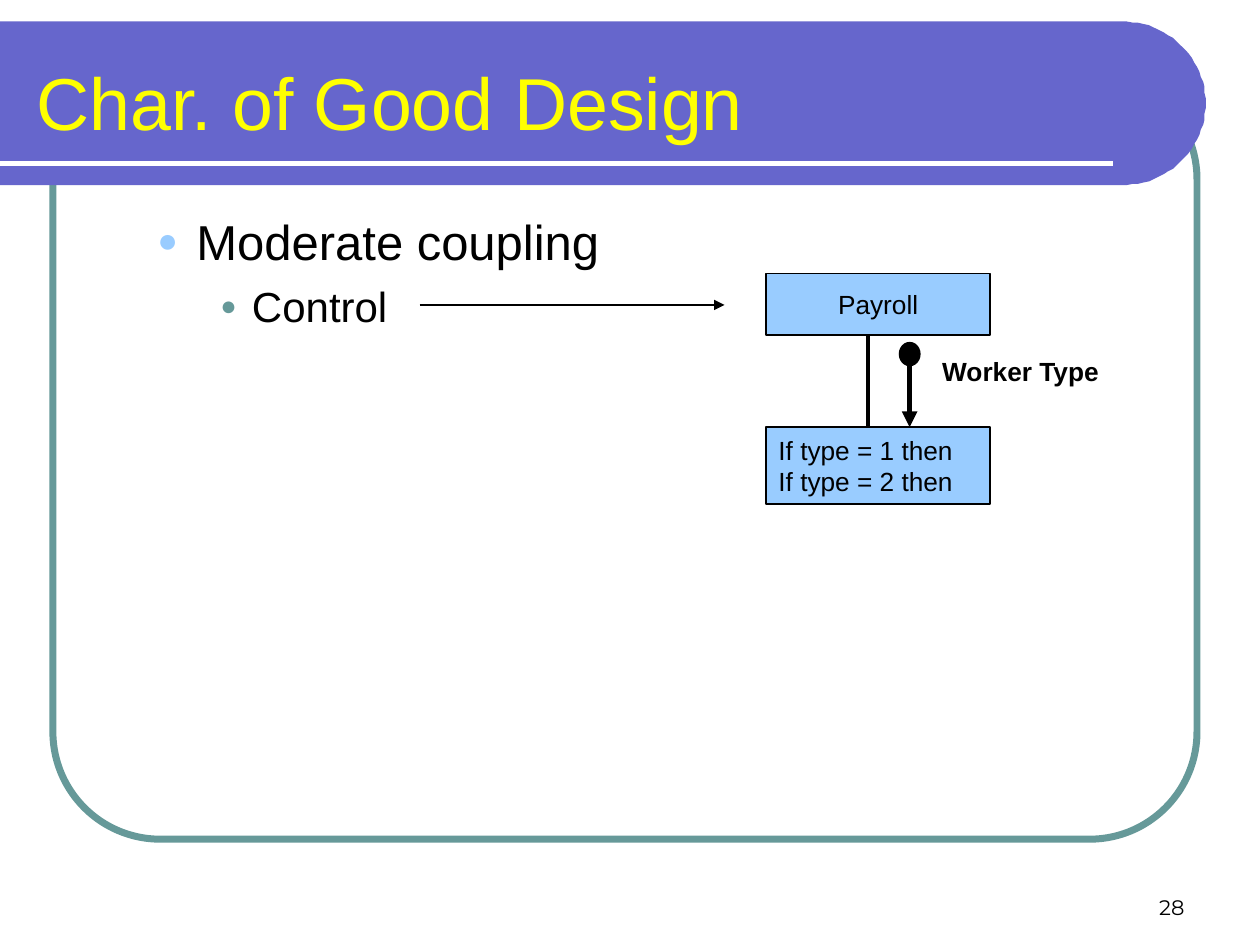
from dataclasses import dataclass
from math import cos, pi, sin
from typing import Optional

from lxml.etree import SubElement
from pptx import Presentation
from pptx.dml.color import RGBColor
from pptx.enum.shapes import MSO_CONNECTOR, MSO_SHAPE
from pptx.enum.text import MSO_ANCHOR as Anchor, PP_ALIGN as Align
from pptx.oxml.ns import qn
from pptx.util import Pt

EMU_PER_PX = 9144  # 100 px to the inch

BLACK = RGBColor(0x00, 0x00, 0x00)
WHITE = RGBColor(0xFF, 0xFF, 0xFF)
YELLOW = RGBColor(0xFF, 0xFF, 0x00)
VIOLET = RGBColor(0x66, 0x66, 0xCC)
TEAL = RGBColor(0x66, 0x99, 0x99)
SKY = RGBColor(0x99, 0xCC, 0xFF)


@dataclass(frozen=True)
class Box:
    left: int
    top: int
    width: int
    height: int


@dataclass(frozen=True)
class TextStyle:
    size: int
    color: RGBColor = BLACK
    font: str = "Arial"
    bold: bool = False
    align: Align = Align.LEFT
    anchor: Anchor = Anchor.TOP
    wrap: bool = True
    inset_left: int = 10
    inset_top: int = 5


@dataclass(frozen=True)
class Bullet:
    size: int
    space_before: int
    margin: int
    indent: int
    color: RGBColor
    scale: int


@dataclass(frozen=True)
class Line:
    start: tuple[int, int]
    end: tuple[int, int]
    width: float
    color: RGBColor = BLACK
    arrow: bool = False


@dataclass(frozen=True)
class Module:
    box: Box
    text: str
    align: Align


TITLE_STYLE = TextStyle(42, YELLOW, inset_left=8, inset_top=12)
BODY_STYLE = TextStyle(28, inset_left=8, inset_top=10)
NUMBER_STYLE = TextStyle(12, font="Montserrat", align=Align.RIGHT, anchor=Anchor.BOTTOM)
LABEL_STYLE = TextStyle(15, bold=True, wrap=False)

BULLETS = [
    Bullet(28, 0, 81, -31, SKY, 70),
    Bullet(24, 6, 125, -25, TEAL, 65),
]
MODULES = [
    Module(Box(608, 217, 178, 49), "Payroll", Align.CENTER),
    Module(Box(608, 339, 178, 61), "If type = 1 then\nIf type = 2 then", Align.LEFT),
]
TITLE_RULE = Line((0, 130), (883, 130), 3, WHITE)
DIAGRAM_LINES = [
    Line((333, 242), (575, 242), 0.75, arrow=True),
    Line((689, 266), (689, 339), 2.25),
    Line((722, 290), (722, 339), 3, arrow=True),
]


def px(value: int) -> int:
    return value * EMU_PER_PX


def bounds(box: Box) -> tuple[int, ...]:
    return tuple(px(value) for value in (box.left, box.top, box.width, box.height))


def write_text(shape, text: str, style: TextStyle) -> None:
    frame = shape.text_frame
    frame.text = text
    frame.word_wrap = style.wrap
    frame.vertical_anchor = style.anchor
    frame.margin_left, frame.margin_right = px(style.inset_left), px(10)
    frame.margin_top, frame.margin_bottom = px(style.inset_top), px(5)
    for paragraph in frame.paragraphs:
        paragraph.alignment = style.align
        for run in paragraph.runs:
            run.font.name = style.font
            run.font.size = Pt(style.size)
            run.font.bold = style.bold
            run.font.color.rgb = style.color


def add_text(slide, box: Box, text: str, style: TextStyle):
    shape = slide.shapes.add_textbox(*bounds(box))
    write_text(shape, text, style)
    return shape


def add_shape(slide, kind: MSO_SHAPE, box: Box, fill: Optional[RGBColor],
              line: RGBColor = BLACK, line_width: float = 1):
    shape = slide.shapes.add_shape(kind, *bounds(box))
    shape.shadow.inherit = False
    if fill is None:
        shape.fill.background()
    else:
        shape.fill.solid()
        shape.fill.fore_color.rgb = fill
    shape.line.color.rgb = line
    shape.line.width = Pt(line_width)
    return shape


def add_line(slide, line: Line) -> None:
    ends = (px(value) for value in (*line.start, *line.end))
    connector = slide.shapes.add_connector(MSO_CONNECTOR.STRAIGHT, *ends)
    connector.line.color.rgb = line.color
    connector.line.width = Pt(line.width)
    if line.arrow:
        SubElement(connector.line._get_or_add_ln(), qn("a:tailEnd"), type="triangle")
    SubElement(connector._element.spPr, qn("a:effectLst"))


def add_title_band(slide, box: Box, radius_x: int, steps: int = 48) -> None:
    """Draw a band whose right end is half an ellipse."""
    radius_y = box.height / 2
    center_x, center_y = box.left + box.width - radius_x, box.top + radius_y
    angles = [pi * step / steps - pi / 2 for step in range(steps + 1)]
    arc = [(center_x + radius_x * cos(angle), center_y + radius_y * sin(angle))
           for angle in angles]
    builder = slide.shapes.build_freeform(box.left, box.top, scale=EMU_PER_PX)
    builder.add_line_segments([*arc, (box.left, box.top + box.height)], close=True)
    band = builder.convert_to_shape()
    band.shadow.inherit = False
    band.fill.solid()
    band.fill.fore_color.rgb = VIOLET
    band.line.fill.background()


def add_bullet(paragraph, bullet: Bullet) -> None:
    properties = paragraph._p.get_or_add_pPr()
    properties.set("marL", str(px(bullet.margin)))
    properties.set("indent", str(px(bullet.indent)))
    paragraph.space_before = Pt(bullet.space_before)
    color = SubElement(properties, qn("a:buClr"))
    SubElement(color, qn("a:srgbClr"), val=str(bullet.color))
    SubElement(properties, qn("a:buSzPct"), val=str(bullet.scale * 1000))
    SubElement(properties, qn("a:buFont"), typeface="Arial")
    SubElement(properties, qn("a:buChar"), char="●")
    for run in paragraph.runs:
        run.font.size = Pt(bullet.size)


def main() -> None:
    presentation = Presentation()
    presentation.slide_width, presentation.slide_height = px(1000), px(750)
    slide = presentation.slides.add_slide(presentation.slide_layouts[6])

    frame = add_shape(slide, MSO_SHAPE.ROUNDED_RECTANGLE, Box(42, 57, 908, 609), None, TEAL, 4)
    frame.adjustments[0] = 0.14
    add_title_band(slide, Box(0, 17, 957, 130), radius_x=67)
    add_line(slide, TITLE_RULE)

    add_text(slide, Box(717, 683, 233, 52), "28", NUMBER_STYLE)
    add_text(slide, Box(21, 33, 737, 133), "Char. of Good Design", TITLE_STYLE)
    body = add_text(slide, Box(67, 158, 867, 483), "Moderate coupling\nControl", BODY_STYLE)
    for level, (paragraph, bullet) in enumerate(zip(body.text_frame.paragraphs, BULLETS)):
        paragraph.level = level
        add_bullet(paragraph, bullet)

    for module in MODULES:
        shape = add_shape(slide, MSO_SHAPE.RECTANGLE, module.box, SKY)
        write_text(shape, module.text,
                   TextStyle(15, align=module.align, anchor=Anchor.MIDDLE))
    add_text(slide, Box(738, 277, 146, 35), "Worker Type", LABEL_STYLE)
    add_shape(slide, MSO_SHAPE.OVAL, Box(714, 272, 16, 18), BLACK)
    for line in DIAGRAM_LINES:
        add_line(slide, line)

    presentation.save("out.pptx")


if __name__ == "__main__":
    main()
